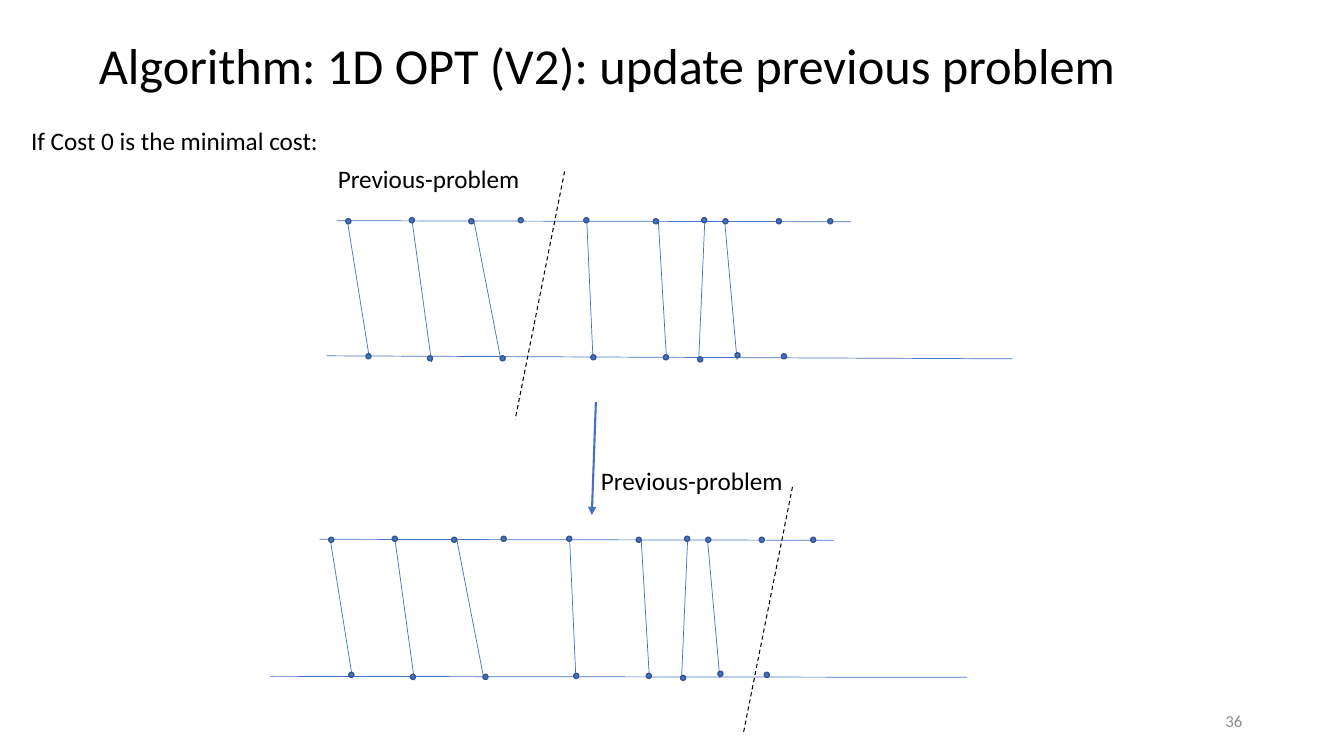
from dataclasses import dataclass

from pptx import Presentation
from pptx import util as u
from pptx.dml.color import RGBColor
from pptx.enum import dml, shapes, text
from pptx.oxml.ns import qn
from lxml import etree

BLUE = RGBColor(0x44, 0x72, 0xC4)
DARK_BLUE = RGBColor(0x32, 0x54, 0x91)
BLACK = RGBColor(0, 0, 0)
GRAY = RGBColor(0x8C, 0x8C, 0x8C)
FONT = "Calibri"
DOT_SIZE = 0.05


@dataclass(frozen=True)
class Point:
    x: float
    y: float

    def moved(self, dx: float, dy: float) -> "Point":
        return Point(round(self.x + dx, 2), round(self.y + dy, 2))


@dataclass(frozen=True)
class Segment:
    start: Point
    end: Point

    def moved(self, dx: float, dy: float) -> "Segment":
        return Segment(self.start.moved(dx, dy), self.end.moved(dx, dy))


@dataclass(frozen=True)
class Problem:
    dx: float
    dy: float
    axes: tuple[Segment, Segment]
    label: Point
    divider: Segment


def segment(x1: float, y1: float, x2: float, y2: float) -> Segment:
    return Segment(Point(x1, y1), Point(x2, y2))


SOURCE_POINTS = [
    Point(3.43, 2.17), Point(4.06, 2.16), Point(4.65, 2.17), Point(5.14, 2.16),
    Point(5.79, 2.16), Point(6.48, 2.17), Point(6.96, 2.16), Point(7.17, 2.17),
    Point(7.7, 2.17), Point(8.21, 2.17),
]
TARGET_POINTS = [
    Point(3.63, 3.51), Point(4.24, 3.53), Point(4.96, 3.53), Point(5.86, 3.52),
    Point(6.58, 3.52), Point(6.92, 3.54), Point(7.29, 3.5), Point(7.75, 3.51),
]
MATCHES = [
    segment(3.45, 2.22, 3.66, 3.53), segment(4.09, 2.21, 4.28, 3.59),
    segment(4.7, 2.19, 4.97, 3.58), segment(5.82, 2.19, 5.88, 3.53),
    segment(6.53, 2.2, 6.61, 3.55), segment(6.99, 2.2, 6.93, 3.57),
    segment(7.19, 2.22, 7.31, 3.57),
]
PROBLEMS = [
    Problem(0, 0,
            (segment(3.34, 2.19, 8.44, 2.2), segment(3.24, 3.53, 10.04, 3.56)),
            Point(3.35, 1.62), segment(5.6, 1.7, 5.11, 4.16)),
    Problem(-0.17, 3.16,
            (segment(3.17, 5.35, 8.27, 5.36), segment(2.68, 6.71, 9.59, 6.72)),
            Point(5.96, 4.62), segment(7.86, 4.83, 7.37, 7.29)),
]


def write(frame, words: str, *, size: float, color: RGBColor = BLACK,
          align=text.PP_ALIGN.LEFT, anchor=text.MSO_ANCHOR.TOP,
          wrap: bool = True, inset: bool = True, spacing: float = 1.0) -> None:
    frame.word_wrap = wrap
    frame.auto_size = (text.MSO_AUTO_SIZE.NONE if wrap
                       else text.MSO_AUTO_SIZE.SHAPE_TO_FIT_TEXT)
    frame.vertical_anchor = anchor
    if not inset:
        frame.margin_left = frame.margin_right = 0
        frame.margin_top = frame.margin_bottom = 0
    paragraph = frame.paragraphs[0]
    paragraph.alignment = align
    paragraph.line_spacing = spacing
    run = paragraph.add_run()
    run.text = words
    run.font.name = FONT
    run.font.size = u.Pt(size)
    run.font.color.rgb = color


def add_box(slide, left: float, top: float, width: float, height: float):
    return slide.shapes.add_textbox(u.Inches(left), u.Inches(top),
                                    u.Inches(width), u.Inches(height)).text_frame


def draw_line(slide, route: Segment, *, color: RGBColor = BLUE, width: float = 0.5,
              dashed: bool = False, arrow: bool = False) -> None:
    connector = slide.shapes.add_connector(
        shapes.MSO_CONNECTOR.STRAIGHT,
        u.Inches(route.start.x), u.Inches(route.start.y),
        u.Inches(route.end.x), u.Inches(route.end.y))
    connector.line.color.rgb = color
    connector.line.width = u.Pt(width)
    if dashed:
        connector.line.dash_style = dml.MSO_LINE.DASH
    if arrow:
        etree.SubElement(connector.line._get_or_add_ln(), qn("a:tailEnd"), type="triangle")
    etree.SubElement(connector._element.spPr, qn("a:effectLst"))


def draw_dot(slide, corner: Point) -> None:
    dot = slide.shapes.add_shape(
        shapes.MSO_SHAPE.OVAL, u.Inches(corner.x), u.Inches(corner.y),
        u.Inches(DOT_SIZE), u.Inches(DOT_SIZE))
    dot.shadow.inherit = False
    dot.fill.solid()
    dot.fill.fore_color.rgb = BLUE
    dot.line.color.rgb = DARK_BLUE
    dot.line.width = u.Pt(1)


def draw_problem(slide, problem: Problem) -> None:
    for axis in problem.axes:
        draw_line(slide, axis)
    for match in MATCHES:
        draw_line(slide, match.moved(problem.dx, problem.dy))
    for corner in SOURCE_POINTS + TARGET_POINTS:
        draw_dot(slide, corner.moved(problem.dx, problem.dy))
    draw_line(slide, problem.divider, color=BLACK, width=0.75, dashed=True)
    write(add_box(slide, problem.label.x, problem.label.y, 1.82, 0.3),
          "Previous-problem", size=18, wrap=False, inset=False)


def main() -> None:
    deck = Presentation()
    deck.slide_width, deck.slide_height = u.Inches(13.33), u.Inches(7.5)
    slide = deck.slides.add_slide(deck.slide_layouts[5])

    title = slide.shapes.title
    title.left, title.top = u.Inches(0.88), u.Inches(0.17)
    title.width, title.height = u.Inches(11.5), u.Inches(1.01)
    write(title.text_frame, "Algorithm: 1D OPT (V2): update previous problem",
          size=36, anchor=text.MSO_ANCHOR.MIDDLE, spacing=0.9)
    write(add_box(slide, 0.21, 1.19, 3.14, 0.4),
          "If Cost 0 is the minimal cost:", size=18, wrap=False)

    for problem in PROBLEMS:
        draw_problem(slide, problem)
    draw_line(slide, segment(5.91, 3.99, 5.87, 5.11), width=1.5, arrow=True)

    write(add_box(slide, 9.42, 6.95, 3, 0.4), "36", size=12, color=GRAY,
          align=text.PP_ALIGN.RIGHT, anchor=text.MSO_ANCHOR.MIDDLE)
    deck.save("out.pptx")


if __name__ == "__main__":
    main()
